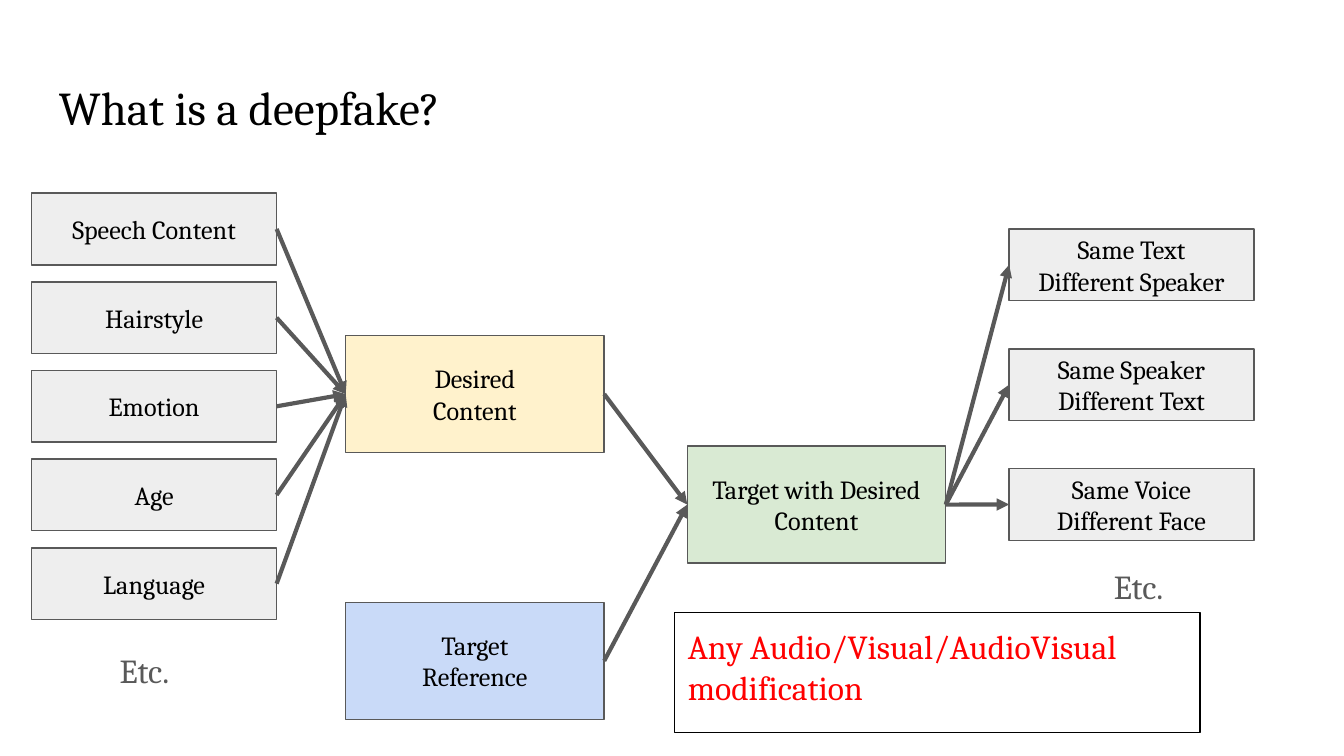
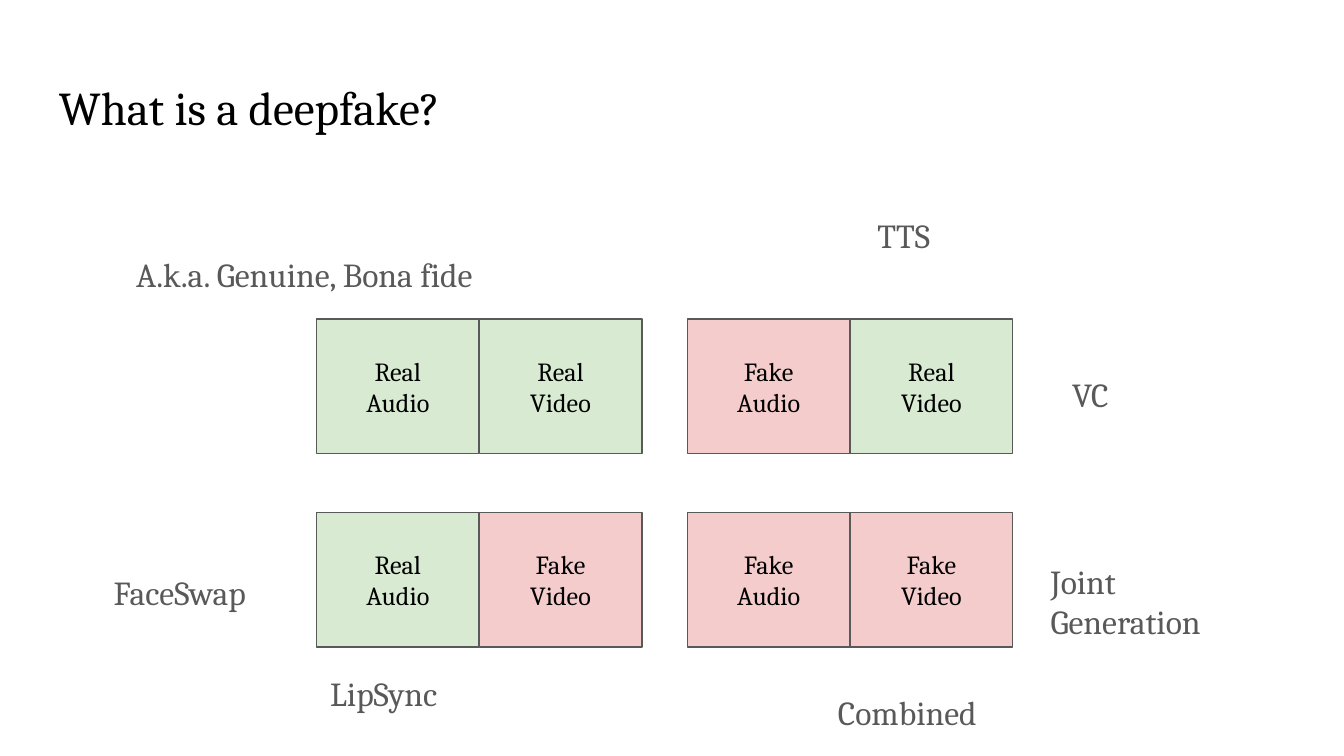
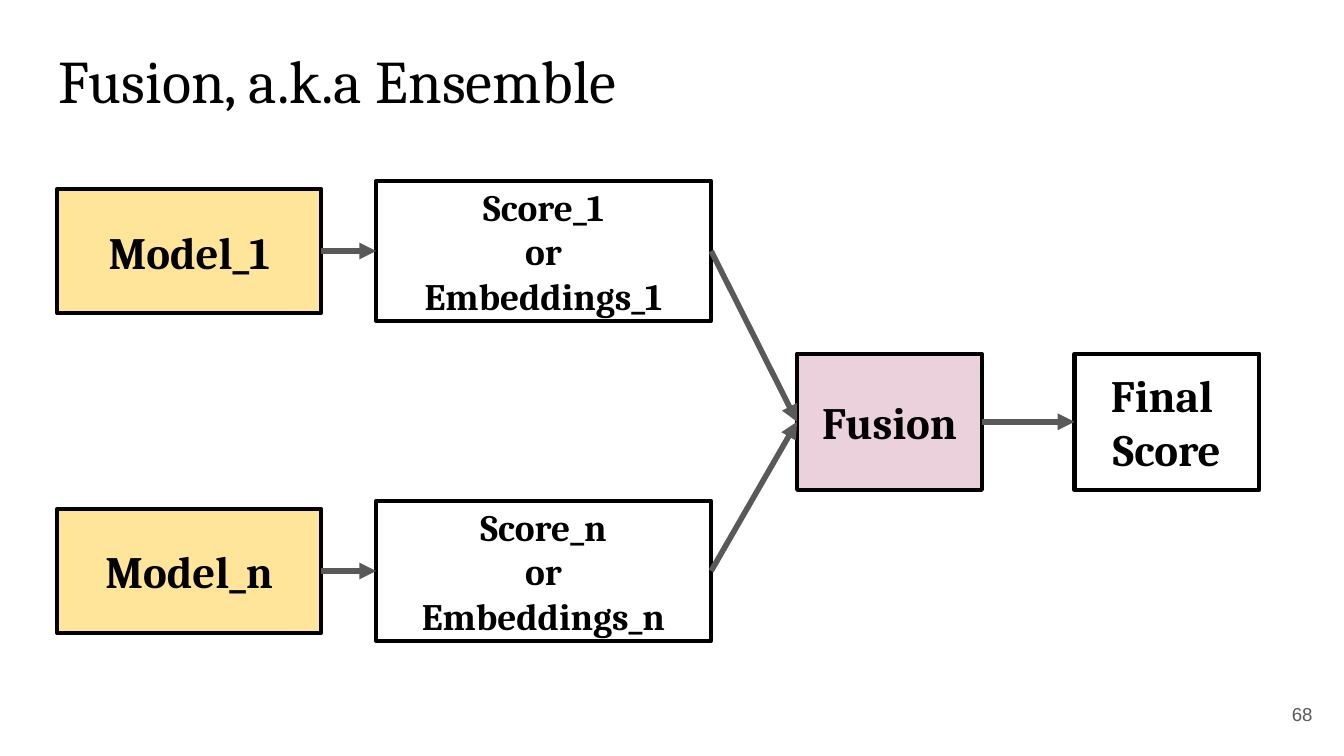
from lxml import etree
from pptx import Presentation
from pptx.dml.color import RGBColor
from pptx.enum.shapes import MSO_CONNECTOR, MSO_SHAPE
from pptx.enum.text import MSO_ANCHOR, PP_ALIGN
from pptx.oxml.ns import qn
from pptx.util import Pt

RECT = MSO_SHAPE.RECTANGLE
LINE = MSO_CONNECTOR.STRAIGHT
LEFT, MID, RIGHT = PP_ALIGN.LEFT, PP_ALIGN.CENTER, PP_ALIGN.RIGHT
TOP, HALF = MSO_ANCHOR.TOP, MSO_ANCHOR.MIDDLE
WEST, EAST = 1, 3
WIDE, HIGH = 720, 405
INSET = 7.2
FONT = "Cambria"
BLACK, WHITE, GREY, PALE = "000000", "FFFFFF", "595959", "EEEEEE"
GREEN, PINK, CREAM, BLUE = "D9EAD3", "F4CCCC", "FFF2CC", "C9DAF8"
GOLD, MAUVE, RED = "FFE599", "EAD1DC", "FF0000"


def hue(code):
    """Turn a hex string into a colour."""
    return RGBColor.from_string(code)


def write(shape, text, size=18, color=GREY, bold=False, align=LEFT, anchor=TOP, font=FONT):
    """Fill a shape with text, one paragraph a line."""
    frame = shape.text_frame
    frame.word_wrap = True
    frame.vertical_anchor = anchor
    frame.margin_left = frame.margin_right = Pt(INSET)
    frame.margin_top = frame.margin_bottom = Pt(INSET)
    for i, line in enumerate(text.split("\n")):
        para = frame.add_paragraph() if i else frame.paragraphs[0]
        para.text = line
        para.alignment = align
        for run in para.runs:
            run.font.name, run.font.size, run.font.bold = font, Pt(size), bold
            run.font.color.rgb = hue(color)


def label(slide, box, text, **style):
    """Add a text box."""
    write(slide.shapes.add_textbox(*map(Pt, box)), text, **style)


def block(slide, box, text, fill=None, edge=GREY, width=0.75, **style):
    """Add a framed rectangle with text."""
    shape = slide.shapes.add_shape(RECT, *map(Pt, box))
    shape.shadow.inherit = False
    if fill:
        shape.fill.solid()
        shape.fill.fore_color.rgb = hue(fill)
    else:
        shape.fill.background()
    shape.line.color.rgb = hue(edge)
    shape.line.width = Pt(width)
    write(shape, text, **{"size": 14, "color": BLACK, "align": MID, "anchor": HALF, **style})
    return shape


def join(slide, start, end, width=2.25):
    """Draw an arrow from the right of one block to the left of another."""
    arrow = slide.shapes.add_connector(LINE, 0, 0, 0, 0)
    arrow.begin_connect(start, EAST)
    arrow.end_connect(end, WEST)
    arrow.line.color.rgb = hue(GREY)
    arrow.line.width = Pt(width)
    props = arrow._element.spPr
    etree.SubElement(props.find(qn("a:ln")), qn("a:tailEnd"), type="triangle")
    etree.SubElement(props, qn("a:effectLst"))


def start(deck, title, top=35, size=25.2):
    """Add a blank slide with its title."""
    slide = deck.slides.add_slide(deck.slide_layouts[6])
    label(slide, (24.5, top, 671, 45), title, size=size, color=BLACK)
    return slide


def stack(slide, box, names, step, note):
    """Stack equal grey blocks down from a box, with a note at an offset."""
    x, y, w, h = box
    label(slide, (x + note[0], y + note[1], 78, 34), "Etc.")
    return [block(slide, (x, y + i * step, w, h), name, PALE) for i, name in enumerate(names)]


def core(slide, box):
    """Place the content, reference and result blocks."""
    x, y, w, h = box
    want = block(slide, (x, y, w, h), "Desired\nContent", CREAM)
    base = block(slide, (x, y + 142.9, w, h), "Target\nReference", BLUE)
    made = block(slide, (x + 183, y + 59.2, w, h), "Target with Desired Content", GREEN)
    for part in (want, base):
        join(slide, part, made)
    return want, made


def flow(deck):
    """Build the slide on how a deepfake is made."""
    slide = start(deck, "What is a deepfake?")
    traits = stack(slide, (17, 103.5, 131.2, 38.4),
                   ("Speech Content", "Hairstyle", "Emotion", "Age", "Language"),
                   47.5, (40, 237.7))
    ends = stack(slide, (540.6, 122.7, 131.2, 38.4),
                 ("Same Text\nDifferent Speaker", "Same Speaker Different Text",
                  "Same Voice\nDifferent Face"), 64.2, (49, 173.3))
    want, made = core(slide, (185.2, 179.8, 138.5, 62.7))
    for trait in traits:
        join(slide, trait, want)
    for end in ends:
        join(slide, made, end)
    block(slide, (361.4, 328.3, 281.5, 64), "Any Audio/Visual/AudioVisual modification",
          edge=BLACK, size=18, color=RED, align=LEFT, anchor=TOP)


def pair(slide, box, kinds):
    """Place an audio block and a video block side by side in a box."""
    x, y, w, h = box
    for i, (kind, media) in enumerate(zip(kinds, ("Audio", "Video"))):
        fill = GREEN if kind == "Real" else PINK
        block(slide, (x + i * w / 2, y, w / 2, h), f"{kind}\n{media}", fill)


def grid(slide, box, rows):
    """Place pairs in a grid that fills a box."""
    x, y, w, h = box
    wide, high = 174.3, 72.2
    for r, row in enumerate(rows):
        for c, kinds in enumerate(row):
            pair(slide, (x + c * (w - wide), y + r * (h - high), wide, high), kinds)


def types(deck):
    """Build the slide on real and fake pairs."""
    slide = start(deck, "What is a deepfake?")
    grid(slide, (169.6, 170.9, 373, 175.8),
         ((("Real", "Real"), ("Fake", "Real")), (("Real", "Fake"), ("Fake", "Fake"))))
    for text, box in (
        ("FaceSwap", (53.8, 299, 184.3, 34.5)),
        ("LipSync", (169.8, 353.2, 184.3, 34.5)),
        ("TTS", (463, 108, 72, 34.5)),
        ("Combined", (441.8, 363.5, 113.8, 34.5)),
        ("VC", (567.2, 193, 75.6, 28)),
        ("Joint Generation", (555.7, 293.2, 113.8, 53.3)),
        ("A.k.a. Genuine, Bona fide", (65.9, 128.7, 240.5, 53.3)),
    ):
        label(slide, box, text)


def branch(slide, box, tag):
    """Place a model and its score in a box, and return the score."""
    x, y, w, h = box
    style = {"edge": BLACK, "width": 2.25, "bold": True}
    model = block(slide, (x, y + 4.2, 141.3, h - 8.4), f"Model_{tag}", GOLD, size=24, **style)
    score = block(slide, (x + w - 179.5, y, 179.5, h),
                  f"Score_{tag}\vor\nEmbeddings_{tag}", WHITE, size=20, **style)
    join(slide, model, score, 3)
    return score


def merge(slide, box):
    """Place the fusion and final blocks at the ends of a box."""
    x, y, w, h = box
    wide = 99
    parts = [block(slide, (left, y, wide, h), text, fill, BLACK, 2.25, size=24, bold=True)
             for left, text, fill in ((x, "Fusion", MAUVE), (x + w - wide, "Final \nScore", WHITE))]
    join(slide, *parts, 3)
    return parts[0]


def fuse(deck):
    """Build the slide on fusion of models."""
    slide = start(deck, "Fusion, a.k.a Ensemble", 16, 32.4)
    hub = merge(slide, (427, 189.5, 247.6, 73))
    for i, tag in enumerate("1n"):
        join(slide, branch(slide, (30.7, 97 + i * 171.4, 350.3, 75), tag), hub, 3)
    label(slide, (667, 367.2, 43.2, 31), "68", size=10, align=RIGHT, anchor=HALF, font="Arial")


def main():
    """Build and save the deck."""
    deck = Presentation()
    deck.slide_width, deck.slide_height = Pt(WIDE), Pt(HIGH)
    for build in (flow, types, fuse):
        build(deck)
    deck.save("out.pptx")


if __name__ == "__main__":
    main()
